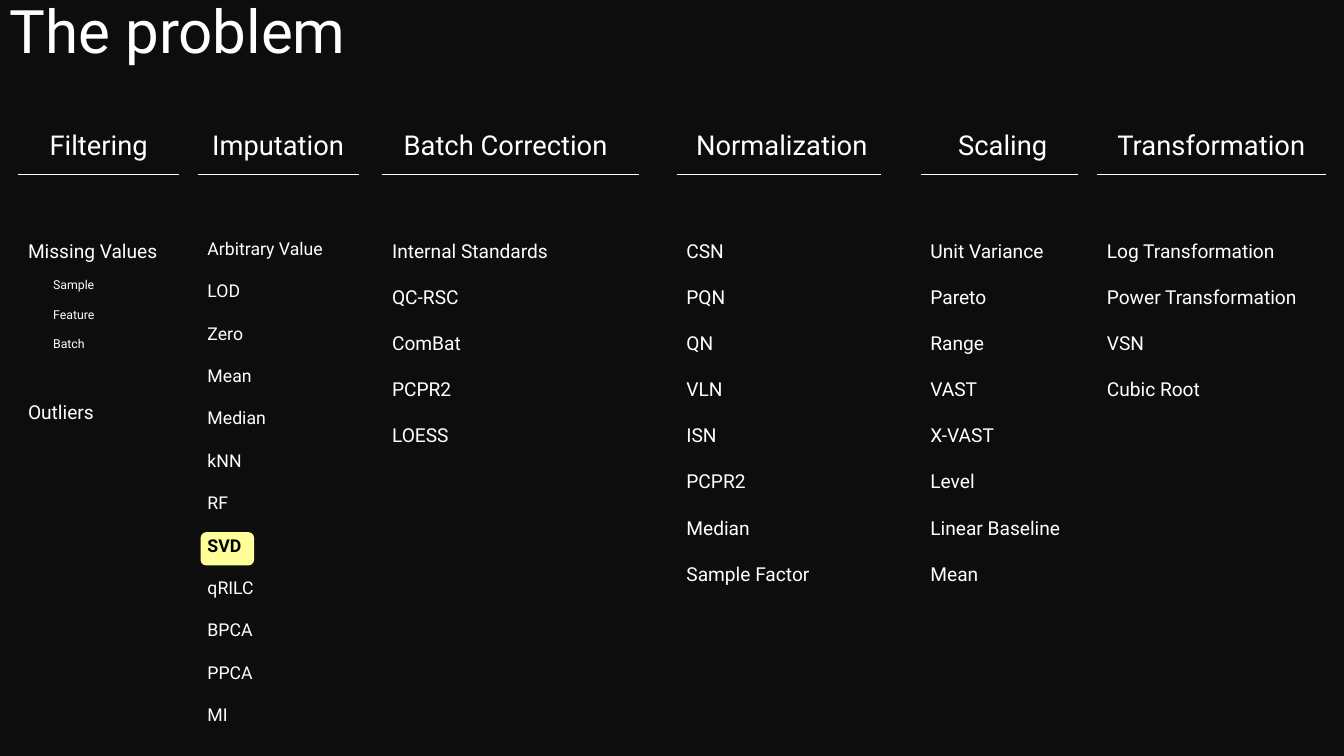
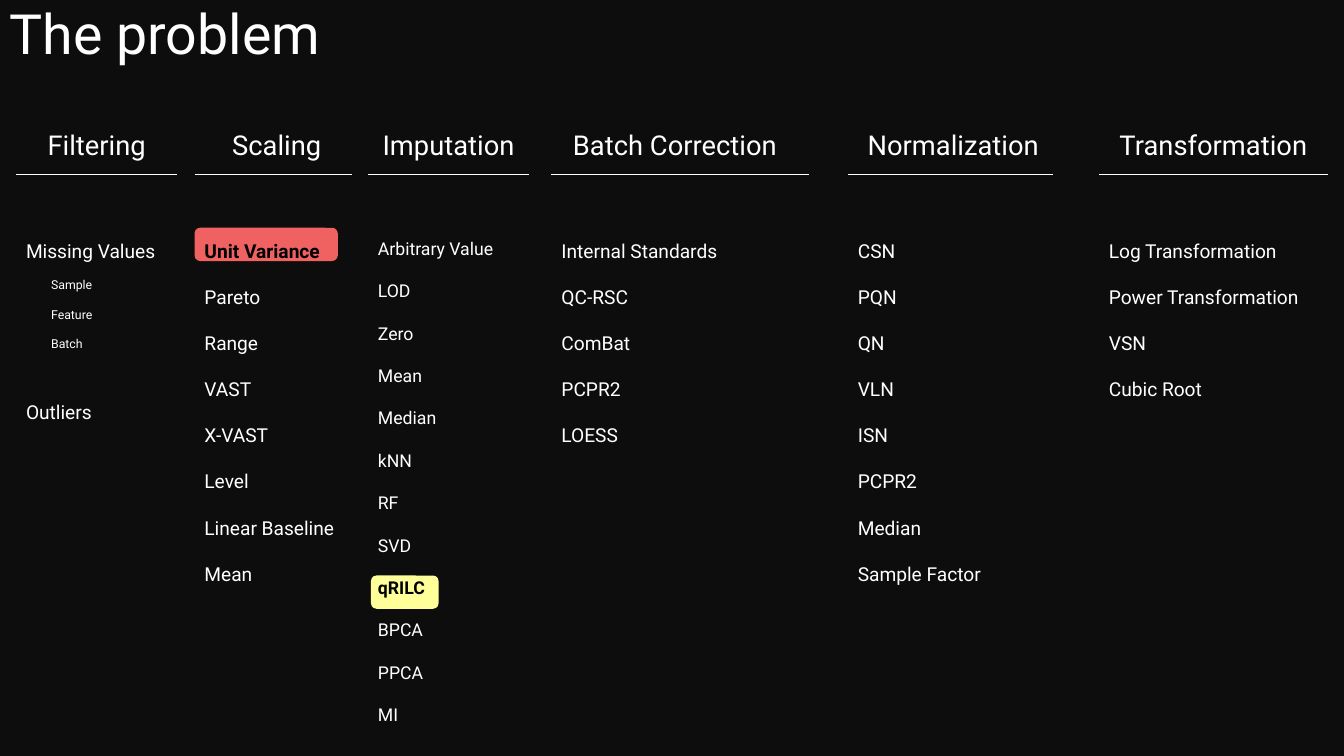
import pptx
import pptx.dml.color
import pptx.enum.shapes
import pptx.enum.text
import pptx.oxml.ns
import pptx.util
import lxml.etree

Inches = pptx.util.Inches
Pt = pptx.util.Pt
ALIGN = pptx.enum.text.PP_ALIGN
ANCHOR = pptx.enum.text.MSO_ANCHOR

BACKGROUND = "0D0D0D"
WHITE = "FFFFFF"
BLACK = "000000"
YELLOW = "FFFF99"
RED = "F06262"
FONT = "Roboto"
RULE_TOP = 1.73
SUB_ITEMS = ["Sample", "Feature", "Batch"]

COLUMNS = {
    "Filtering": dict(
        width=1.6, heading_shift=0, heading_width=1.6, list_height=3.09, size=13.7,
        items=["Missing Values", *SUB_ITEMS, "Outliers"]),
    "Imputation": dict(
        width=1.6, heading_shift=0, heading_width=1.6, list_height=5.4, size=12.6,
        items=["Arbitrary Value", "LOD", "Zero", "Mean", "Median", "kNN", "RF",
               "SVD", "qRILC", "BPCA", "PPCA", "MI"]),
    "Batch Correction": dict(
        width=2.55, heading_shift=-0.05, heading_width=2.55, list_height=3.72, size=13.7,
        items=["Internal Standards", "QC-RSC", "ComBat", "PCPR2", "LOESS"]),
    "Normalization": dict(
        width=2.03, heading_shift=-0.23, heading_width=2.55, list_height=4.22, size=13.7,
        items=["CSN", "PQN", "QN", "VLN", "ISN", "PCPR2", "Median", "Sample Factor"]),
    "Scaling": dict(
        width=1.56, heading_shift=0.07, heading_width=1.49, list_height=4.22, size=13.7,
        items=["Unit Variance", "Pareto", "Range", "VAST", "X-VAST", "Level",
               "Linear Baseline", "Mean"]),
    "Transformation": dict(
        width=2.27, heading_shift=0, heading_width=2.27, list_height=3.72, size=13.7,
        items=["Log Transformation", "Power Transformation", "VSN", "Cubic Root"]),
}

SLIDES = [
    dict(
        title_size=42.9, title_spacing=0.8, title_width=4.35,
        lefts={"Filtering": 0.18, "Imputation": 1.96, "Batch Correction": 3.79,
               "Normalization": 6.71, "Scaling": 9.13, "Transformation": 10.88},
        highlights={("Imputation", "SVD"): (1.99, 5.28, 0.53, YELLOW)}),
    dict(
        title_size=39.6, title_spacing=0.9, title_width=5.82,
        lefts={"Filtering": 0.16, "Scaling": 1.93, "Imputation": 3.65,
               "Batch Correction": 5.47, "Normalization": 8.41, "Transformation": 10.9},
        highlights={("Imputation", "qRILC"): (3.68, 5.71, 0.67, YELLOW),
                    ("Scaling", "Unit Variance"): (1.93, 2.26, 1.42, RED)}),
]


def color(value):
    return pptx.dml.color.RGBColor.from_string(value)


def add_text(shapes, box, lines, size, spacing, anchor=ANCHOR.MIDDLE, align=ALIGN.LEFT):
    frame = shapes.add_textbox(*[Inches(value) for value in box]).text_frame
    frame.word_wrap = True
    frame.vertical_anchor = anchor
    frame.text = "\n".join(lines)
    for paragraph in frame.paragraphs:
        paragraph.alignment = align
        paragraph.line_spacing = spacing
        paragraph.font.name = FONT
        paragraph.font.size = Pt(size)
        paragraph.font.color.rgb = color(WHITE)
    return frame.paragraphs


presentation = pptx.Presentation()
presentation.slide_width = Inches(13.33)
presentation.slide_height = Inches(7.5)

for layout in SLIDES:
    slide = presentation.slides.add_slide(presentation.slide_layouts[6])
    slide.background.fill.solid()
    slide.background.fill.fore_color.rgb = color(BACKGROUND)

    for left, top, width, fill in layout["highlights"].values():
        highlight = slide.shapes.add_shape(
            pptx.enum.shapes.MSO_SHAPE.ROUNDED_RECTANGLE,
            Inches(left), Inches(top), Inches(width), Inches(0.33))
        highlight.shadow.inherit = False
        highlight.fill.solid()
        highlight.fill.fore_color.rgb = color(fill)
        highlight.line.fill.background()

    add_text(slide.shapes, (0, 0, layout["title_width"], 0.72), ["The problem"],
             layout["title_size"], layout["title_spacing"])

    for name, left in layout["lefts"].items():
        column = COLUMNS[name]
        shapes = slide.shapes.add_group_shape().shapes
        add_text(shapes, (left + column["heading_shift"], 1.18, column["heading_width"], 0.55),
                 [name], 19.5, 0.9, align=ALIGN.CENTER)

        rule = shapes.add_connector(
            pptx.enum.shapes.MSO_CONNECTOR.STRAIGHT, Inches(left), Inches(RULE_TOP),
            Inches(left + column["width"]), Inches(RULE_TOP))
        rule.line.color.rgb = color(WHITE)
        rule.line.width = Pt(0.5)
        lxml.etree.SubElement(rule._element.spPr, pptx.oxml.ns.qn("a:effectLst"))

        paragraphs = add_text(shapes, (left, 2.1, column["width"], column["list_height"]),
                              column["items"], column["size"], 2.0, anchor=ANCHOR.TOP)
        for paragraph in paragraphs:
            if paragraph.text in SUB_ITEMS:
                paragraph.level = 1
                properties = paragraph._p.get_or_add_pPr()
                properties.set("marL", str(Inches(0.25)))
                properties.set("indent", "0")
                paragraph.font.size = Pt(8.8)
            elif paragraph.text == "Outliers":
                paragraph.space_before = Pt(18.7)
            if (name, paragraph.text) in layout["highlights"]:
                paragraph.font.bold = True
                paragraph.font.color.rgb = color(BLACK)

presentation.save("out.pptx")
